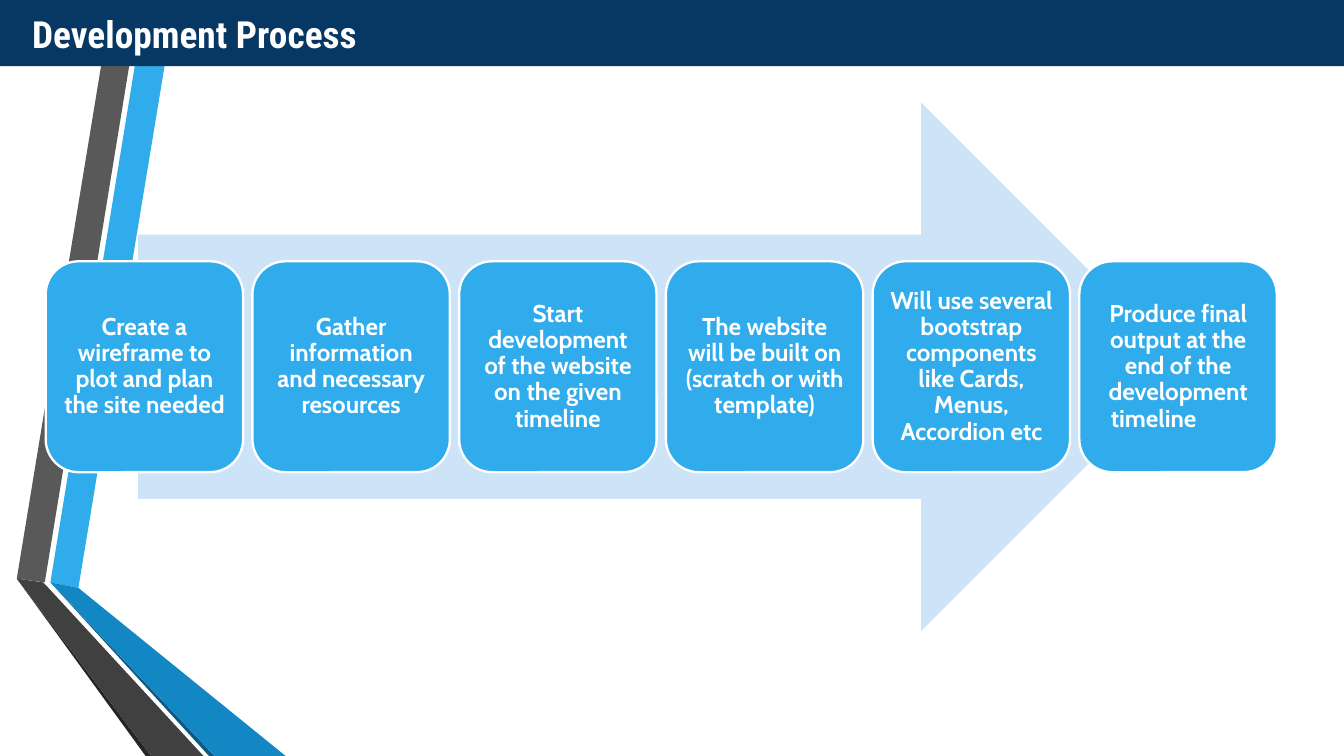
"""Build the Development Process slide: a title band and six steps on an arrow."""
from pptx import Presentation
from pptx.dml.color import RGBColor
from pptx.enum.shapes import MSO_SHAPE
from pptx.enum.text import MSO_ANCHOR, PP_ALIGN
from pptx.util import Pt

COLORS = {
    "white": "FFFFFF", "navy": "073763", "pale": "CDE3F8", "blue": "30ACEC",
    "mid_blue": "1287C3", "deep_blue": "0C5A82",
    "gray": "595959", "dark_gray": "404040", "black": "262626",
}
RIBBONS = [
    ("blue", [(27.4, 312.5), (41.8, 314.6), (93.6, 0), (78.5, 0)]),
    ("gray", [(74.9, 0), (59.8, 0), (8.6, 309.6), (23.8, 311.8)]),
    ("black", [(8.6, 309.6), (78.5, 405), (81.4, 405)]),
    ("deep_blue", [(27.4, 312.5), (112.3, 405), (115.2, 405)]),
    ("mid_blue", [(27.4, 312.5), (115.2, 405), (152.6, 405), (41.8, 314.6)]),
    ("dark_gray", [(108.7, 405), (25.9, 315.4), (23.4, 311.8), (8.6, 309.6), (81.4, 405)]),
]
STEPS = [
    "Create a wireframe to plot and plan the site needed",
    "Gather information and necessary resources",
    "Start development of the website on the given timeline",
    "The website will be built on (scratch or with template)",
    "Will use several bootstrap components like Cards, Menus, Accordion etc",
    "Produce final output at the end of the development timeline\t",
]


def paint(sp, color):
    sp.shadow.inherit = False
    sp.fill.solid()
    sp.fill.fore_color.rgb = RGBColor.from_string(COLORS[color])
    sp.line.fill.background()


def write(sp, text, font, size, align, inset):
    tf = sp.text_frame
    tf.text = text
    tf.word_wrap = True
    tf.vertical_anchor = MSO_ANCHOR.MIDDLE
    tf.margin_left = tf.margin_right = tf.margin_top = tf.margin_bottom = Pt(inset)
    p = tf.paragraphs[0]
    p.alignment = align
    for r in p.runs:
        r.font.name = font
        r.font.size = Pt(size)
        r.font.bold = True
        r.font.color.rgb = RGBColor.from_string(COLORS["white"])
    return p


prs = Presentation()
prs.slide_width, prs.slide_height = Pt(720), Pt(405)
s = prs.slides.add_slide(prs.slide_layouts[5])

for color, points in RIBBONS:
    builder = s.shapes.build_freeform(*points[0], scale=Pt(1))
    builder.add_line_segments(points[1:], close=True)
    paint(builder.convert_to_shape(), color)

band = s.shapes.add_shape(MSO_SHAPE.RECTANGLE, 0, 0, Pt(720), Pt(35.5))
paint(band, "navy")

title = s.shapes.title
title.left, title.top, title.width, title.height = Pt(10), Pt(0), Pt(687), Pt(35.5)
write(title, "Development Process", "Roboto Condensed", 20, PP_ALIGN.LEFT, 7.2)
band.element.addnext(title.element)

arrow = s.shapes.add_shape(MSO_SHAPE.RIGHT_ARROW, Pt(74), Pt(55), Pt(561), Pt(283))
paint(arrow, "pale")

for i, step in enumerate(STEPS):
    card = s.shapes.add_shape(
        MSO_SHAPE.ROUNDED_RECTANGLE, Pt(24.5 + 110.75 * i), Pt(140), Pt(105.8), Pt(113))
    paint(card, "blue")
    card.line.color.rgb = RGBColor.from_string(COLORS["white"])
    card.line.width = Pt(1.25)
    p = write(card, step, "Cabin", 13, PP_ALIGN.CENTER, 3.6)
    p.line_spacing = 0.9
    p.space_after = Pt(4.5)

prs.save("out.pptx")
